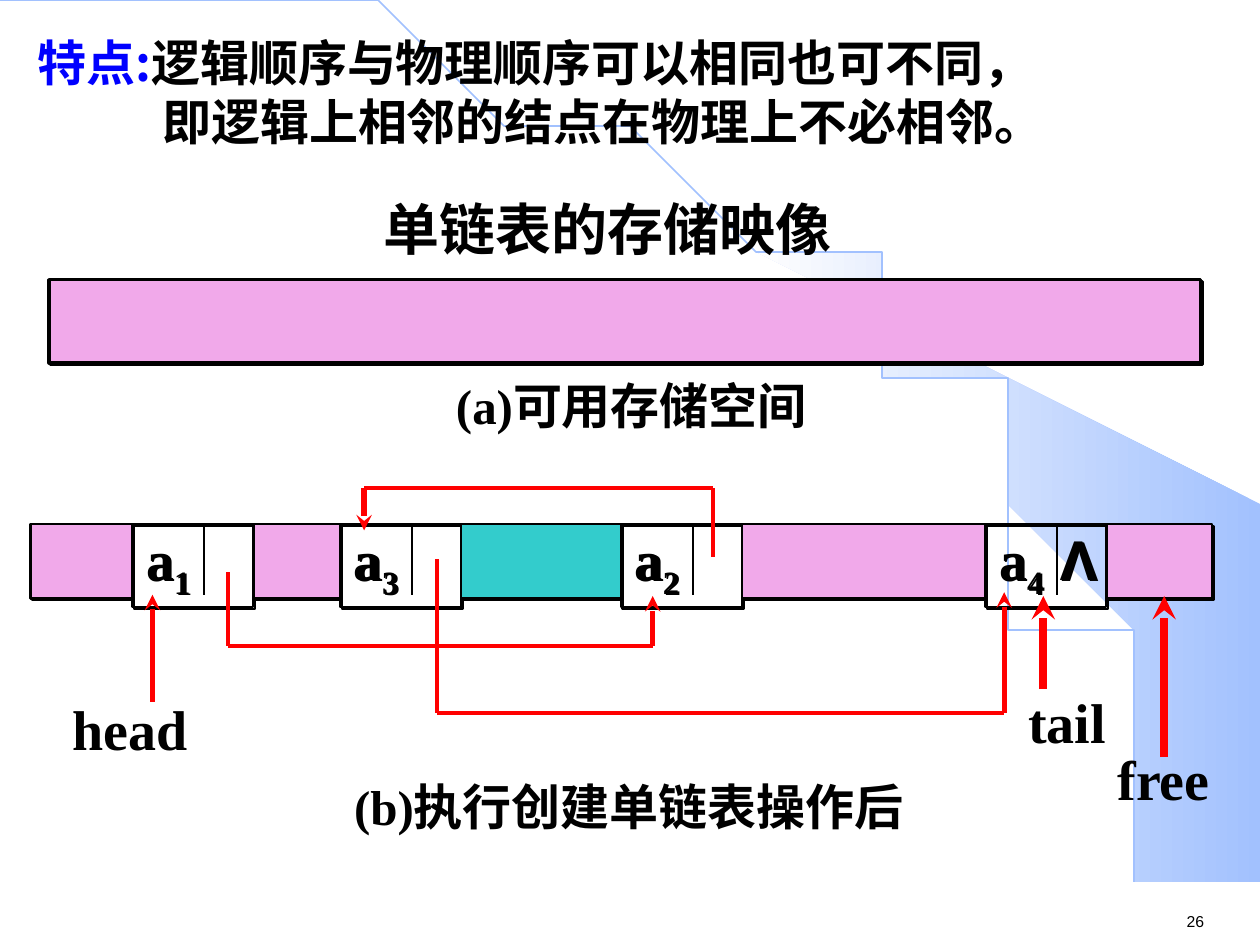
from itertools import pairwise
from math import cos, pi, sin

from lxml.etree import SubElement
from pptx import Presentation
from pptx.dml.color import RGBColor
from pptx.enum.shapes import MSO_CONNECTOR, MSO_SHAPE
from pptx.enum.text import MSO_ANCHOR, PP_ALIGN
from pptx.oxml.ns import qn
from pptx.util import Inches, Pt

COLORS = {
    "black": "000000", "red": "FF0000", "blue": "0000FF", "pink": "F1A9EA",
    "teal": "33CCCC", "sky": "A2C1FE", "pale": "FEFEFE", "shade": "5050A0",
}
SERIF, SANS, CHINESE = "Times New Roman", "Arial", "Noto Sans CJK SC"
ROW_TOP, ROW_HEIGHT, NODE_WIDTH, NODE_HEIGHT = 4.16, 0.59, 0.96, 0.66


def color(name):
    """Return the named colour."""
    return RGBColor.from_string(COLORS[name])


class LinkedListSlide:
    """Hold the slide and draw its elements in one style."""

    def __init__(self, presentation):
        self.slide = presentation.slides.add_slide(presentation.slide_layouts[5])
        self.shapes = self.slide.shapes

    def add_shadow(self, effects, name):
        """Put a small hard shadow into an effect list."""
        shadow = SubElement(effects, qn("a:outerShdw"), dist="17780", dir="2700000", algn="ctr")
        SubElement(shadow, qn("a:srgbClr"), val=COLORS[name])

    def style_run(self, run, size, name="black", font=SERIF, bold=True, shadow=True):
        """Format one run, with a text shadow if wanted."""
        run.font.size, run.font.bold, run.font.name = Pt(size), bold, font
        run.font.color.rgb = color(name)
        properties = run.font._element
        latin = properties.find(qn("a:latin"))
        latin.addnext(properties.makeelement(qn("a:ea"), {"typeface": CHINESE}))
        if shadow:
            effects = properties.makeelement(qn("a:effectLst"), {})
            latin.addprevious(effects)
            self.add_shadow(effects, "shade")

    def set_frame(self, shape, margins):
        """Set wrapping, anchor and margins of a text frame."""
        frame = shape.text_frame
        frame.word_wrap, frame.vertical_anchor = True, MSO_ANCHOR.TOP
        frame.margin_left, frame.margin_top, frame.margin_right, frame.margin_bottom = map(Inches, margins)
        return frame

    def title(self, text, left, top, width, height):
        """Place the title in front of the backdrop."""
        title = self.shapes.title
        title.left, title.top, title.width, title.height = map(Inches, (left, top, width, height))
        self.shapes._spTree.append(title._element)
        frame = self.set_frame(title, (0.1, 0, 0.1, 0.05))
        frame.text = text
        frame.paragraphs[0].alignment = PP_ALIGN.CENTER
        self.style_run(frame.paragraphs[0].runs[0], 32)

    def label(self, text, left, top, width, height, size, margins=(0, 0, 0, 0.05),
              align=PP_ALIGN.CENTER, **style):
        """Add a line of text and return its paragraph."""
        box = self.shapes.add_textbox(*map(Inches, (left, top, width, height)))
        frame = self.set_frame(box, margins)
        frame.text = text
        paragraph = frame.paragraphs[0]
        paragraph.alignment = align
        self.style_run(paragraph.runs[0], size, **style)
        return paragraph

    def box(self, left, top, width, height, fill=None, line=1.5):
        """Add a bordered rectangle with a hard shadow."""
        shape = self.shapes.add_shape(MSO_SHAPE.RECTANGLE, *map(Inches, (left, top, width, height)))
        shape.shadow.inherit = False
        self.add_shadow(shape._element.spPr.find(qn("a:effectLst")), "black")
        if fill:
            shape.fill.solid()
            shape.fill.fore_color.rgb = color(fill)
        else:
            shape.fill.background()
        shape.line.color.rgb, shape.line.width = color("black"), Pt(line)
        return shape

    def line(self, start, end, name="black", width=1.5, arrow=False):
        """Add a straight line, with an arrowhead at its end if wanted."""
        connector = self.shapes.add_connector(MSO_CONNECTOR.STRAIGHT, *map(Inches, (*start, *end)))
        connector.line.color.rgb, connector.line.width = color(name), Pt(width)
        if arrow:
            SubElement(connector.line._get_or_add_ln(), qn("a:tailEnd"), type="stealth")
        SubElement(connector._element.spPr, qn("a:effectLst"))

    def route(self, points):
        """Add a bent pointer that ends in an arrow."""
        steps = list(pairwise(points))
        for start, end in steps[:-1]:
            self.line(start, end, "red", 2.25)
        self.line(*steps[-1], "red", 3, arrow=True)

    def node(self, left, index, mark=None):
        """Add a list node with its data cell and pointer cell."""
        shape = self.box(left, ROW_TOP, NODE_WIDTH, NODE_HEIGHT)
        paragraph = self.set_frame(shape, (0.11, 0, 0, 0.08)).paragraphs[0]
        paragraph.alignment, paragraph.line_spacing = PP_ALIGN.LEFT, 0.95
        if mark:
            tabs = SubElement(paragraph._p.get_or_add_pPr(), qn("a:tabLst"))
            SubElement(tabs, qn("a:tab"), pos=str(Inches(0.48)), algn="l")
        for text, font in (("a", SERIF), (index, SERIF), (mark and "\t" + mark, SANS)):
            if text:
                run = paragraph.add_run()
                run.text = text
                self.style_run(run, 32, font=font, shadow=False)
        paragraph.runs[1].font._element.set("baseline", "-25000")
        divider = left + 0.57
        self.line((divider, ROW_TOP), (divider, 4.72))

    def outline(self, points, closed):
        """Add a freeform through the given points."""
        builder = self.shapes.build_freeform(*points[0], scale=Inches(1))
        builder.add_line_segments(points[1:], close=closed)
        shape = builder.convert_to_shape()
        shape.shadow.inherit = False
        return shape

    def backdrop(self):
        """Draw the shaded wedge and the large arc."""
        wedge = self.outline([
            (9.2, 7.48), (9.99, 7.49), (9.99, 4.23), (5.89, 1.73), (6.24, 1.99), (6.53, 2.22),
            (6.85, 2.5), (7.16, 2.8), (7.62, 3.3), (8.03, 3.84), (8.32, 4.31), (8.58, 4.79),
            (8.78, 5.28), (8.93, 5.72), (9.03, 6.09), (9.13, 6.56), (9.17, 6.96)], True)
        wedge.fill.gradient()
        wedge.fill.gradient_angle = 180
        for stop, name, position in zip(wedge.fill.gradient_stops, ("sky", "pale"), (0, 1)):
            stop.color.rgb, stop.position = color(name), position
        wedge.line.fill.background()
        angles = [pi / 2 * step / 60 for step in range(61)]
        arc = self.outline([(9.2 * sin(angle), 7.49 * (1 - cos(angle))) for angle in angles], False)
        arc.fill.background()
        arc.line.color.rgb, arc.line.width = color("sky"), Pt(1)


def main():
    """Build the slide on the storage of a singly linked list."""
    presentation = Presentation()
    presentation.slide_width, presentation.slide_height = Inches(10), Inches(7.5)
    page = LinkedListSlide(presentation)
    padding = (0.1, 0.05, 0.1, 0.05)
    page.backdrop()
    page.label("26", 9.32, 7.19, 0.6, 0.25, 9, padding, PP_ALIGN.LEFT, font=SANS, bold=False, shadow=False)

    page.box(0.39, 2.22, 9.14, 0.66, "pink", 2)
    page.label("(a)可用存储空间", 3.27, 2.98, 3.48, 0.52, 28)

    for left, index, mark in ((1.05, "1", None), (2.7, "3", None), (4.93, "2", None), (7.82, "4", "Λ")):
        page.node(left, index, mark)
    for left, right, fill in ((2.01, 2.7, "pink"), (8.78, 9.62, "pink"), (5.89, 7.82, "pink"),
                              (3.66, 4.93, "teal"), (0.24, 1.05, "pink")):
        page.box(left, ROW_TOP, right - left, ROW_HEIGHT, fill)

    for points in (
        [(1.21, 5.57), (1.21, 4.72)],
        [(1.81, 4.54), (1.81, 5.13), (5.18, 5.13), (5.18, 4.73)],
        [(5.66, 4.42), (5.66, 3.87), (2.89, 3.87), (2.89, 4.21)],
        [(3.47, 4.44), (3.47, 5.66), (7.97, 5.66), (7.97, 4.7)],
    ):
        page.route(points)
    for x, bottom in ((8.28, 5.47), (9.24, 6.01)):
        page.line((x, bottom), (x, 4.73), "red", 4.5, arrow=True)

    page.label("head", 0.41, 5.46, 1.25, 0.64, 32, padding)
    page.label("tail", 8.01, 5.41, 0.92, 0.64, 32, padding)
    page.label("free", 8.78, 5.91, 0.91, 0.59, 32)
    page.label("(b)执行创建单链表操作后", 2.51, 6.16, 4.96, 0.52, 28)
    page.title("单链表的存储映像", 1.18, 1.54, 7.28, 0.59)

    feature = page.label("特点:", 0.2, 0.21, 8.23, 1.5, 28, padding, PP_ALIGN.LEFT, name="blue", font=CHINESE)
    indent = feature._p.get_or_add_pPr()
    indent.set("marL", str(Inches(0.99)))
    indent.set("indent", str(Inches(-0.99)))
    run = feature.add_run()
    run.text = "逻辑顺序与物理顺序可以相同也可不同，即逻辑上相邻的结点在物理上不必相邻。"
    page.style_run(run, 28, font=CHINESE)
    presentation.save("out.pptx")


if __name__ == "__main__":
    main()
